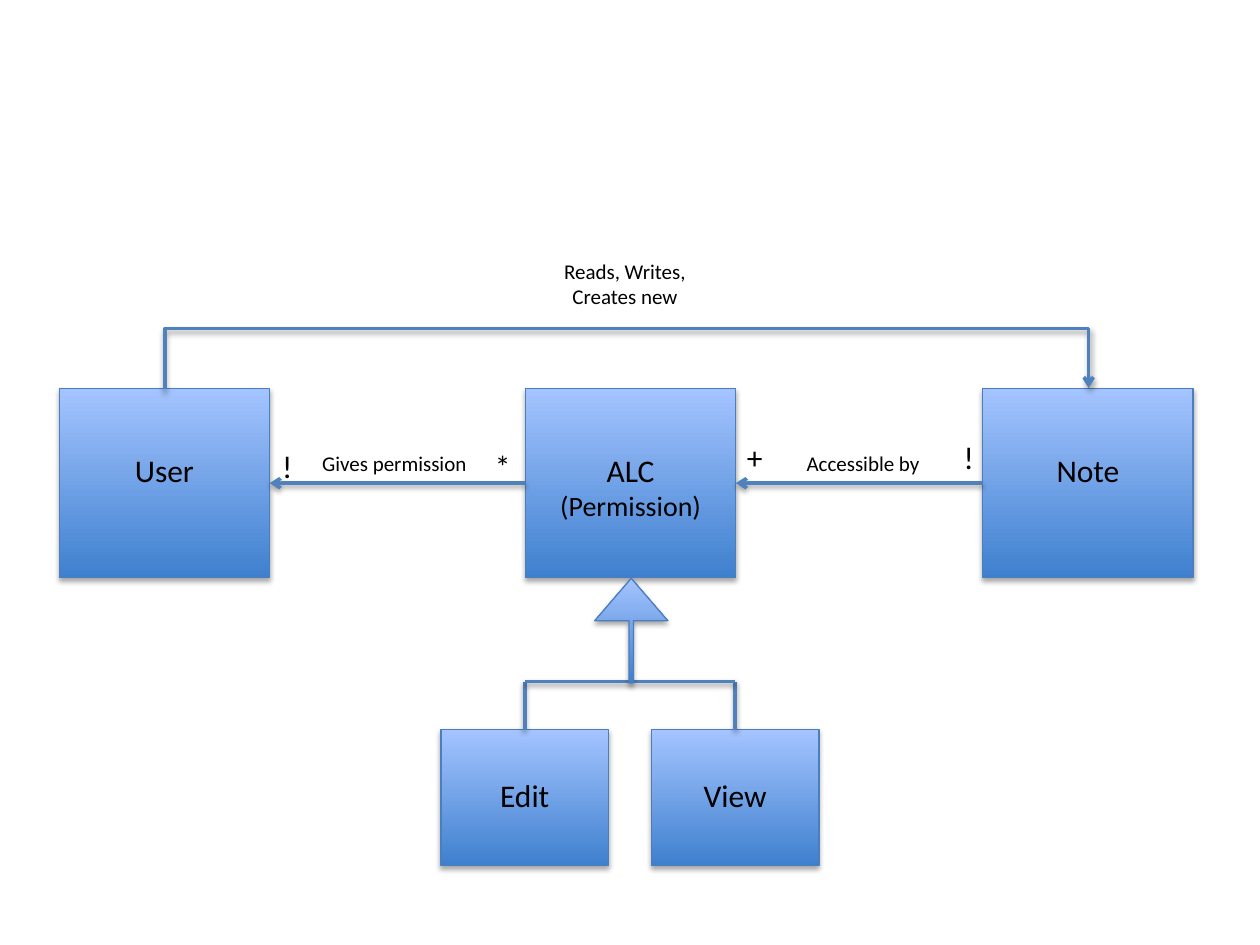
"""Builds a class diagram slide of users, permissions and notes."""
from dataclasses import dataclass

from pptx import Presentation
from pptx import util as u
from pptx.dml.color import RGBColor
from pptx.enum import shapes, text
from pptx.oxml import parse_xml
from pptx.oxml.ns import nsdecls


@dataclass(frozen=True)
class Theme:
    font: str = "Calibri"
    ink: str = "000000"
    low: str = "3F80CE"
    high: str = "A4C4FF"
    edge: str = "4B7EBC"
    wire: str = "4F81BD"
    big: int = 18
    medium: int = 16
    small: int = 12
    edge_pt: float = 0.75
    wire_pt: float = 2


def write(p, words, *, font, size, color, align=text.PP_ALIGN.CENTER):
    p.alignment = align
    r = p.add_run()
    r.text = words
    r.font.name = font
    r.font.size = u.Pt(size)
    r.font.color.rgb = RGBColor.from_string(color)


class Diagram:
    def __init__(self, s, theme):
        self.s, self.t = s, theme

    def _shadow(self, sp, blur, dist, alpha):
        sp._element.spPr.append(parse_xml(
            f'<a:effectLst {nsdecls("a")}><a:outerShdw blurRad="{u.Pt(blur)}" dist="{u.Pt(dist)}" '
            f'dir="5400000" rotWithShape="0"><a:srgbClr val="{self.t.ink}">'
            f'<a:alpha val="{alpha * 1000}"/></a:srgbClr></a:outerShdw></a:effectLst>'))

    def block(self, x, y, w, h, kind=shapes.MSO_SHAPE.RECTANGLE, adjust=()):
        sp = self.s.shapes.add_shape(kind, *map(u.Inches, (x, y, w, h)))
        for i, value in enumerate(adjust):
            sp.adjustments[i] = value
        sp.fill.gradient()
        sp.fill.gradient_angle = 90
        for stop, color in zip(sp.fill.gradient_stops, (self.t.low, self.t.high)):
            stop.color.rgb = RGBColor.from_string(color)
        sp.line.color.rgb = RGBColor.from_string(self.t.edge)
        sp.line.width = u.Pt(self.t.edge_pt)
        self._shadow(sp, 3.1, 1.8, 35)

    def line(self, x1, y1, x2, y2, arrow=False, kind=shapes.MSO_CONNECTOR.STRAIGHT):
        c = self.s.shapes.add_connector(kind, *map(u.Inches, (x1, y1, x2, y2)))
        c.line.color.rgb = RGBColor.from_string(self.t.wire)
        c.line.width = u.Pt(self.t.wire_pt)
        if arrow:
            c.line._get_or_add_ln().append(parse_xml(f'<a:tailEnd {nsdecls("a")} type="arrow"/>'))
        self._shadow(c, 3.1, 1.6, 38)
        return c

    def bridge(self, x1, x2, y, rise):
        mid, half, thin = (x1 + x2) / 2, (x2 - x1) / 2, 0.01
        c = self.line(mid + thin, y + half, mid, y - half, True, shapes.MSO_CONNECTOR.ELBOW)
        c._element.spPr.xfrm.set("rot", "5400000")
        c._element.spPr.prstGeom.rewrite_guides([("adj1", round(rise / thin * 100000))])

    def label(self, x, y, w, h, *lines, align=text.PP_ALIGN.CENTER):
        tf = self.s.shapes.add_textbox(*map(u.Inches, (x, y, w, h))).text_frame
        tf.word_wrap = True
        for i, (words, size) in enumerate(lines):
            p = tf.add_paragraph() if i else tf.paragraphs[0]
            write(p, words, font=self.t.font, size=size, color=self.t.ink, align=align)


def main():
    prs = Presentation()
    prs.slide_width, prs.slide_height = u.Inches(10), u.Inches(7.5)
    t = Theme()
    d = Diagram(prs.slides.add_slide(prs.slide_layouts[6]), t)

    user, alc, note, edit, view = 0.47, 4.17, 7.8, 3.5, 5.17
    side, top, child_w, child_top = 1.67, 3.085, 1.33, 5.79
    axis, bar = top + 0.75, 5.41

    for x in (user, alc, note):
        d.block(x, top, side, 1.5)
    for x in (edit, view):
        d.block(x, child_top, child_w, 1.08)
    for start, end in ((alc, user + side), (note, alc + side)):
        d.line(start, axis, end, axis, True)

    d.label(user, 3.53, side, 0.4, ("User", t.big))
    d.label(alc, 3.53, side, 0.67, ("ALC", t.big), ("(Permission)", t.medium))
    d.label(note, 3.53, side, 0.4, ("Note", t.big))
    d.label(edit, 6.11, child_w, 0.4, ("Edit", t.big))
    d.label(view, 6.11, child_w, 0.4, ("View", t.big))

    d.label(2.42, 3.53, 1.42, 0.3, ("Gives permission", t.small))
    d.label(5.89, 3.53, 1.92, 0.3, ("Accessible by", t.small))
    for mark, x, y, w in (("!", 2.14, 3.5, 0.33), ("*", 3.83, 3.5, 0.33),
                          ("+", 5.83, 3.43, 0.42), ("!", 7.55, 3.43, 0.42)):
        d.label(x, y, w, 0.4, (mark, t.big), align=text.PP_ALIGN.LEFT)

    left, right = (x + child_w / 2 for x in (edit, view))
    for x in (left, right):
        d.line(x, bar, x, child_top)
    d.line(left, bar, right, bar)
    d.block(4.72, 4.59, 0.58, 0.83, shapes.MSO_SHAPE.UP_ARROW, (0.06, 0.58))

    d.bridge(user + side / 2, note + side / 2, top, 0.49)
    d.label(4.25, 2, 1.42, 0.5, ("Reads, Writes, Creates new", t.small))

    prs.save("out.pptx")


if __name__ == "__main__":
    main()
